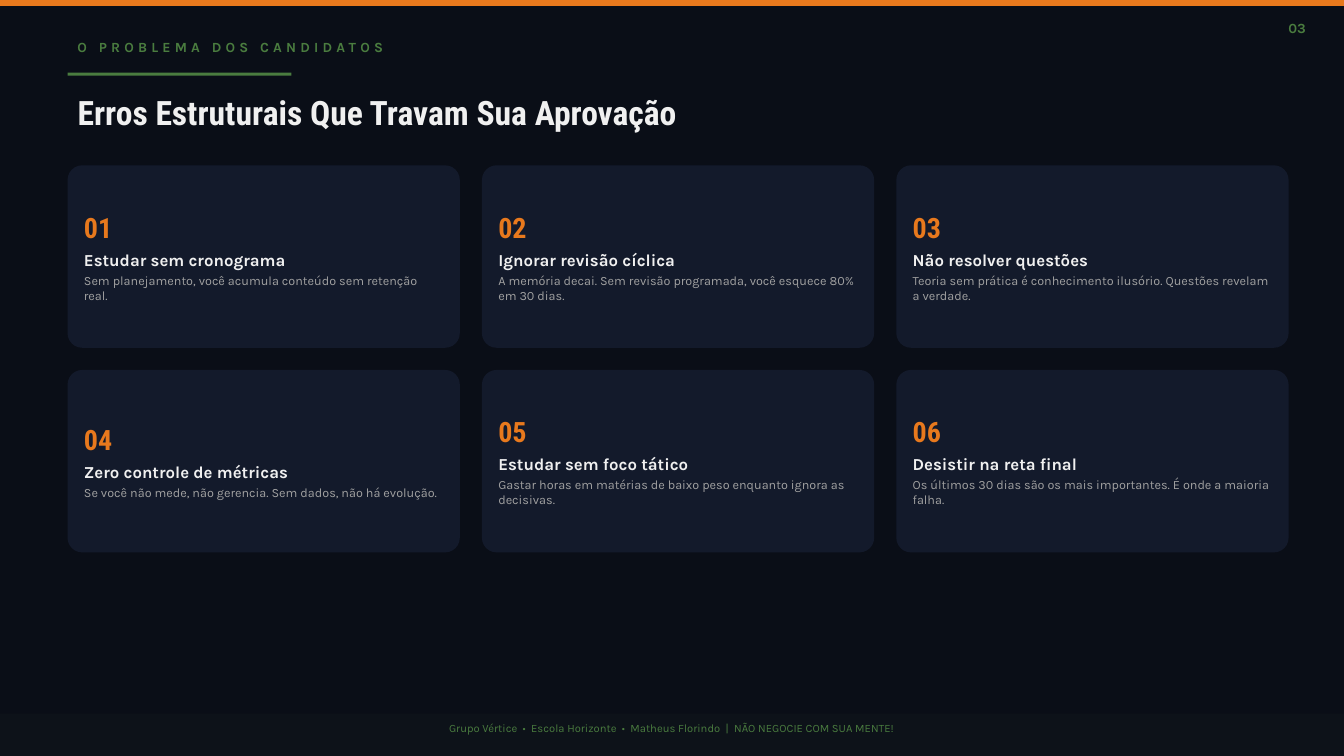
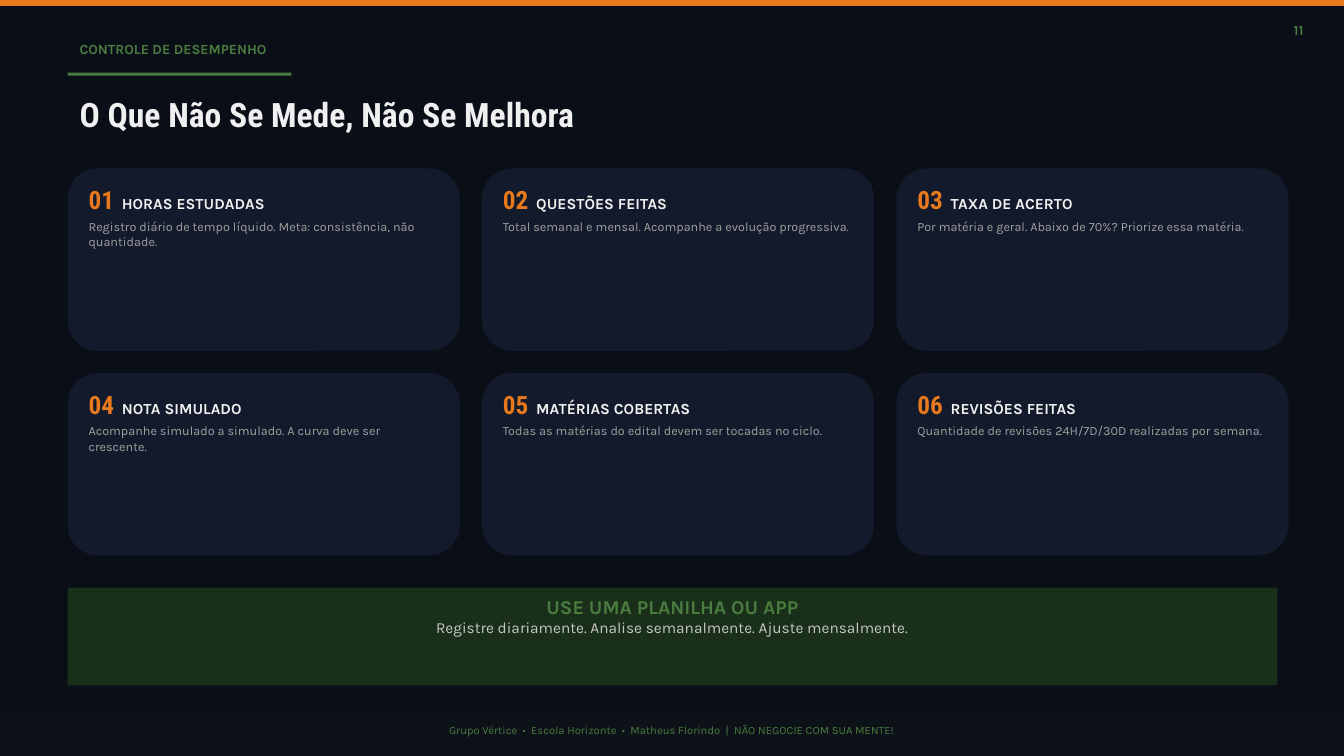
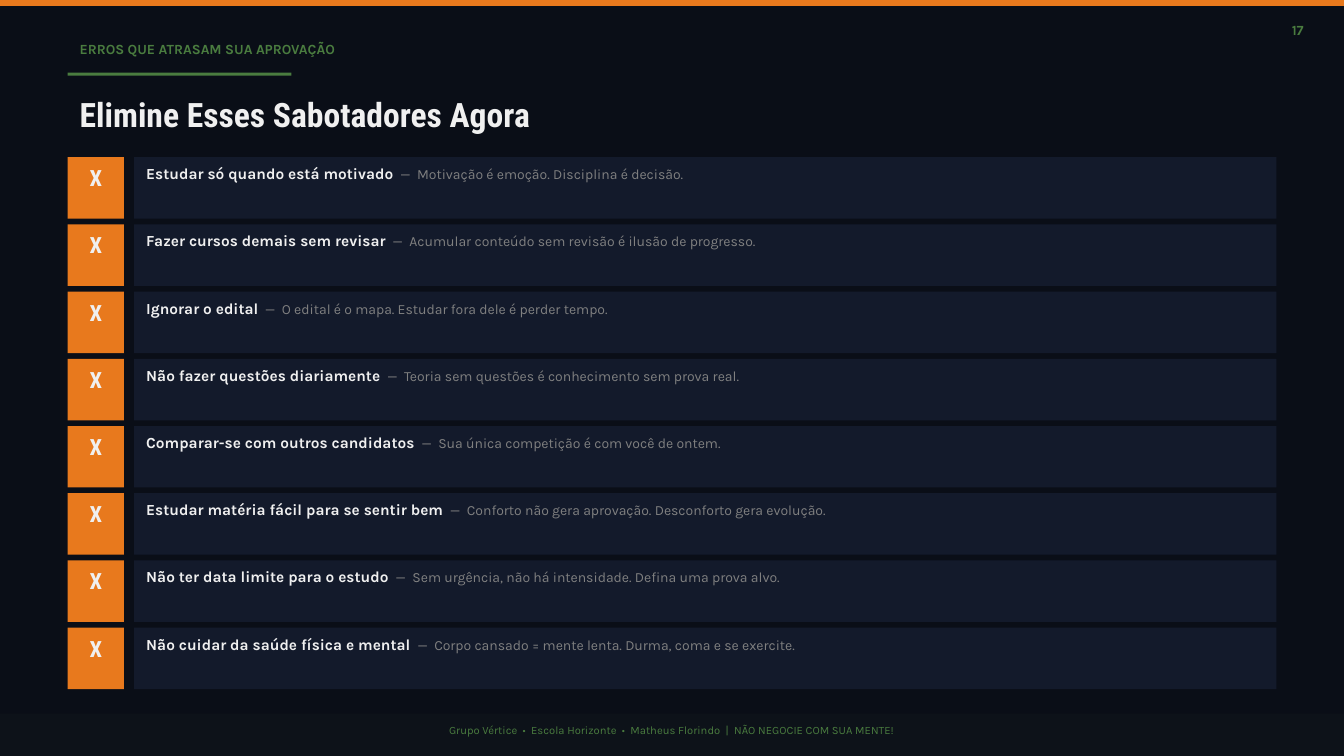
from pptx import Presentation
from pptx.dml.color import RGBColor
from pptx.enum.shapes import MSO_SHAPE
from pptx.enum.text import MSO_ANCHOR, MSO_AUTO_SIZE, PP_ALIGN
from pptx.util import Inches, Pt

ERRORS = [
    ("Estudar sem cronograma", "Sem planejamento, você acumula conteúdo sem retenção real."),
    ("Ignorar revisão cíclica", "A memória decai. Sem revisão programada, você esquece 80% em 30 dias."),
    ("Não resolver questões", "Teoria sem prática é conhecimento ilusório. Questões revelam a verdade."),
    ("Zero controle de métricas", "Se você não mede, não gerencia. Sem dados, não há evolução."),
    ("Estudar sem foco tático", "Gastar horas em matérias de baixo peso enquanto ignora as decisivas."),
    ("Desistir na reta final", "Os últimos 30 dias são os mais importantes. É onde a maioria falha."),
]
METRICS = [
    ("HORAS ESTUDADAS", "Registro diário de tempo líquido. Meta: consistência, não quantidade."),
    ("QUESTÕES FEITAS", "Total semanal e mensal. Acompanhe a evolução progressiva."),
    ("TAXA DE ACERTO", "Por matéria e geral. Abaixo de 70%? Priorize essa matéria."),
    ("NOTA SIMULADO", "Acompanhe simulado a simulado. A curva deve ser crescente."),
    ("MATÉRIAS COBERTAS", "Todas as matérias do edital devem ser tocadas no ciclo."),
    ("REVISÕES FEITAS", "Quantidade de revisões 24H/7D/30D realizadas por semana."),
]
HABITS = [
    ("Estudar só quando está motivado", "Motivação é emoção. Disciplina é decisão."),
    ("Fazer cursos demais sem revisar", "Acumular conteúdo sem revisão é ilusão de progresso."),
    ("Ignorar o edital", "O edital é o mapa. Estudar fora dele é perder tempo."),
    ("Não fazer questões diariamente", "Teoria sem questões é conhecimento sem prova real."),
    ("Comparar-se com outros candidatos", "Sua única competição é com você de ontem."),
    ("Estudar matéria fácil para se sentir bem", "Conforto não gera aprovação. Desconforto gera evolução."),
    ("Não ter data limite para o estudo", "Sem urgência, não há intensidade. Defina uma prova alvo."),
    ("Não cuidar da saúde física e mental", "Corpo cansado = mente lenta. Durma, coma e se exercite."),
]
ADVICE = ("USE UMA PLANILHA OU APP",
          "Registre diariamente. Analise semanalmente. Ajuste mensalmente.")
FOOTER = "Grupo Vértice  •  Escola Horizonte  •  Matheus Florindo  |  NÃO NEGOCIE COM SUA MENTE!"

BACK, FOOT, CARD, MOSS = "0A0E17", "0D1219", "131A2B", "1A2F1A"
ORANGE, GREEN, WHITE = "E8791D", "4A7C3F", "F0F0F0"
SILVER, GRAY, DIM = "C8C8C8", "A0A0A0", "808080"
BODY, HEAD = "Karla", "Roboto Condensed"
WIDE, HIGH, LEFT, SPAN = 13.33, 7.5, 0.67, 12
CARD_W, CARD_H, GAP = 3.89, 1.81, 0.22
ROW_TOP, ROW_H, STEP = 1.56, 0.61, 2 / 3
TIGHT, LOOSE, TALL = (0.1, 0.05), (0.12, 0.07), (0.12, 0.1)


def color(code):
    return RGBColor.from_string(code)


def write(para, text, size=10, ink=WHITE, font=BODY, bold=False,
          align=PP_ALIGN.LEFT, before=0, track=0):
    para.alignment = align
    para.space_before = Pt(before)
    run = para.add_run()
    run.text = text
    run.font.size = Pt(size)
    run.font.name = font
    run.font.bold = bold
    run.font.color.rgb = color(ink)
    if track:
        run._r.get_or_add_rPr().set("spc", str(track * 100))


def frame(shape, pad, anchor=MSO_ANCHOR.TOP):
    area = shape.text_frame
    area.word_wrap = True
    area.auto_size = MSO_AUTO_SIZE.NONE
    area.vertical_anchor = anchor
    area.margin_left = area.margin_right = Inches(pad[0])
    area.margin_top = area.margin_bottom = Inches(pad[1])
    return area


def block(slide, box, fill, kind=MSO_SHAPE.RECTANGLE):
    shape = slide.shapes.add_shape(kind, *map(Inches, box))
    shape.shadow.inherit = False
    shape.fill.solid()
    shape.fill.fore_color.rgb = color(fill)
    shape.line.fill.background()
    return shape


def label(slide, box, text, pad, **style):
    shape = slide.shapes.add_textbox(*map(Inches, box))
    write(frame(shape, pad).paragraphs[0], text, **style)


def page(deck, number, topic, title, pad=LOOSE, track=0):
    slide = deck.slides.add_slide(deck.slide_layouts[5])
    name = slide.shapes.title
    name.left, name.top, name.width, name.height = map(Inches, (LEFT, 0.86, SPAN, 0.62))
    write(frame(name, pad).paragraphs[0], title, size=24, font=HEAD, bold=True)
    block(slide, (0, 0, WIDE, 0.06), ORANGE)
    label(slide, (12.36, 0.14, 0.69, 0.33), number, pad,
          ink=GREEN, bold=True, align=PP_ALIGN.RIGHT)
    label(slide, (LEFT, 0.33, 6.94, 0.33), topic, pad, ink=GREEN, bold=True, track=track)
    block(slide, (LEFT, 0.72, 2.22, 0.03), GREEN)
    block(slide, (0, 7.08, WIDE, 0.42), FOOT)
    label(slide, (0, 7.11, WIDE, 0.36), FOOTER, pad,
          size=8, ink=GREEN, align=PP_ALIGN.CENTER)
    return slide


def cards(slide, items, top, stacked):
    for i, (head, note) in enumerate(items):
        row, col = divmod(i, 3)
        box = (LEFT + col * (CARD_W + GAP), top + row * (CARD_H + GAP), CARD_W, CARD_H)
        card = block(slide, box, CARD, MSO_SHAPE.ROUNDED_RECTANGLE)
        if stacked:
            card.adjustments[0] = 0.08
            area = frame(card, TALL, MSO_ANCHOR.MIDDLE)
        else:
            area = frame(card, LOOSE)
        first = area.paragraphs[0]
        write(first, f"{i + 1:02}", size=20 if stacked else 18, ink=ORANGE, font=HEAD, bold=True)
        if stacked:
            write(area.add_paragraph(), head, size=12, bold=True, before=4)
        else:
            write(first, "  " + head, size=11, bold=True)
        write(area.add_paragraph(), note, size=9, ink=GRAY, before=2 if stacked else 3)


def rows(slide, items):
    for i, (habit, reply) in enumerate(items):
        top = ROW_TOP + i * STEP
        mark = block(slide, (LEFT, top, 0.56, ROW_H), ORANGE)
        write(frame(mark, LOOSE).paragraphs[0], "X", size=16, font=HEAD,
              bold=True, align=PP_ALIGN.CENTER)
        bar = block(slide, (1.33, top, 11.33, ROW_H), CARD)
        line = frame(bar, LOOSE).paragraphs[0]
        write(line, habit, size=11, bold=True)
        write(line, "  —  " + reply, ink=DIM)


def banner(slide, head, note):
    area = frame(block(slide, (LEFT, 5.83, SPAN, 0.97), MOSS), LOOSE)
    write(area.paragraphs[0], head, size=14, ink=GREEN, bold=True, align=PP_ALIGN.CENTER)
    write(area.add_paragraph(), note, size=11, ink=SILVER, align=PP_ALIGN.CENTER)


def main():
    deck = Presentation()
    deck.slide_width, deck.slide_height = Inches(WIDE), Inches(HIGH)
    back = deck.slide_master.background.fill
    back.solid()
    back.fore_color.rgb = color(BACK)

    slide = page(deck, "03", "O PROBLEMA DOS CANDIDATOS",
                 "Erros Estruturais Que Travam Sua Aprovação", pad=TIGHT, track=3)
    cards(slide, ERRORS, 1.64, stacked=True)

    slide = page(deck, "11", "CONTROLE DE DESEMPENHO", "O Que Não Se Mede, Não Se Melhora")
    cards(slide, METRICS, 1.67, stacked=False)
    banner(slide, *ADVICE)

    slide = page(deck, "17", "ERROS QUE ATRASAM SUA APROVAÇÃO", "Elimine Esses Sabotadores Agora")
    rows(slide, HABITS)
    deck.save("out.pptx")


if __name__ == "__main__":
    main()
